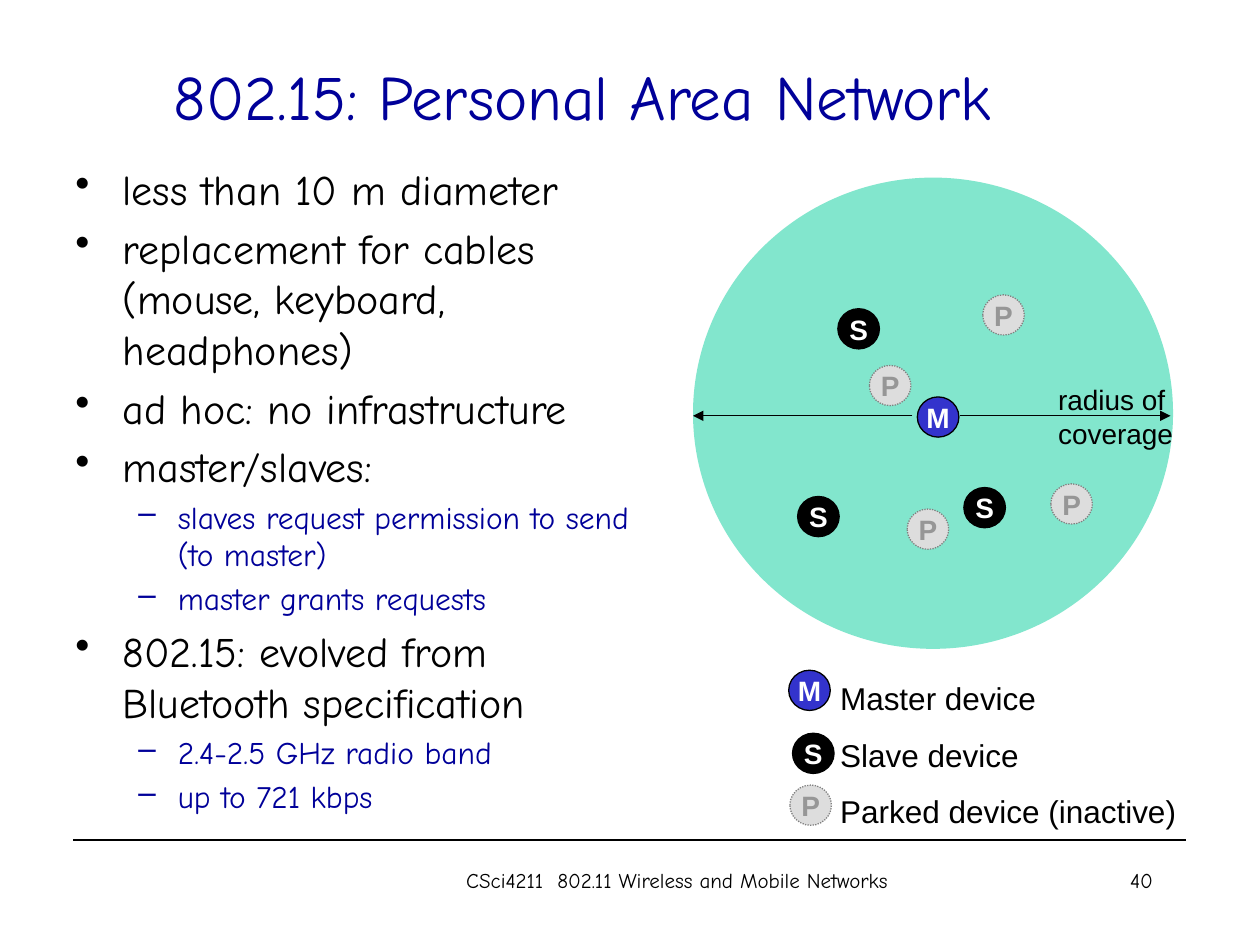
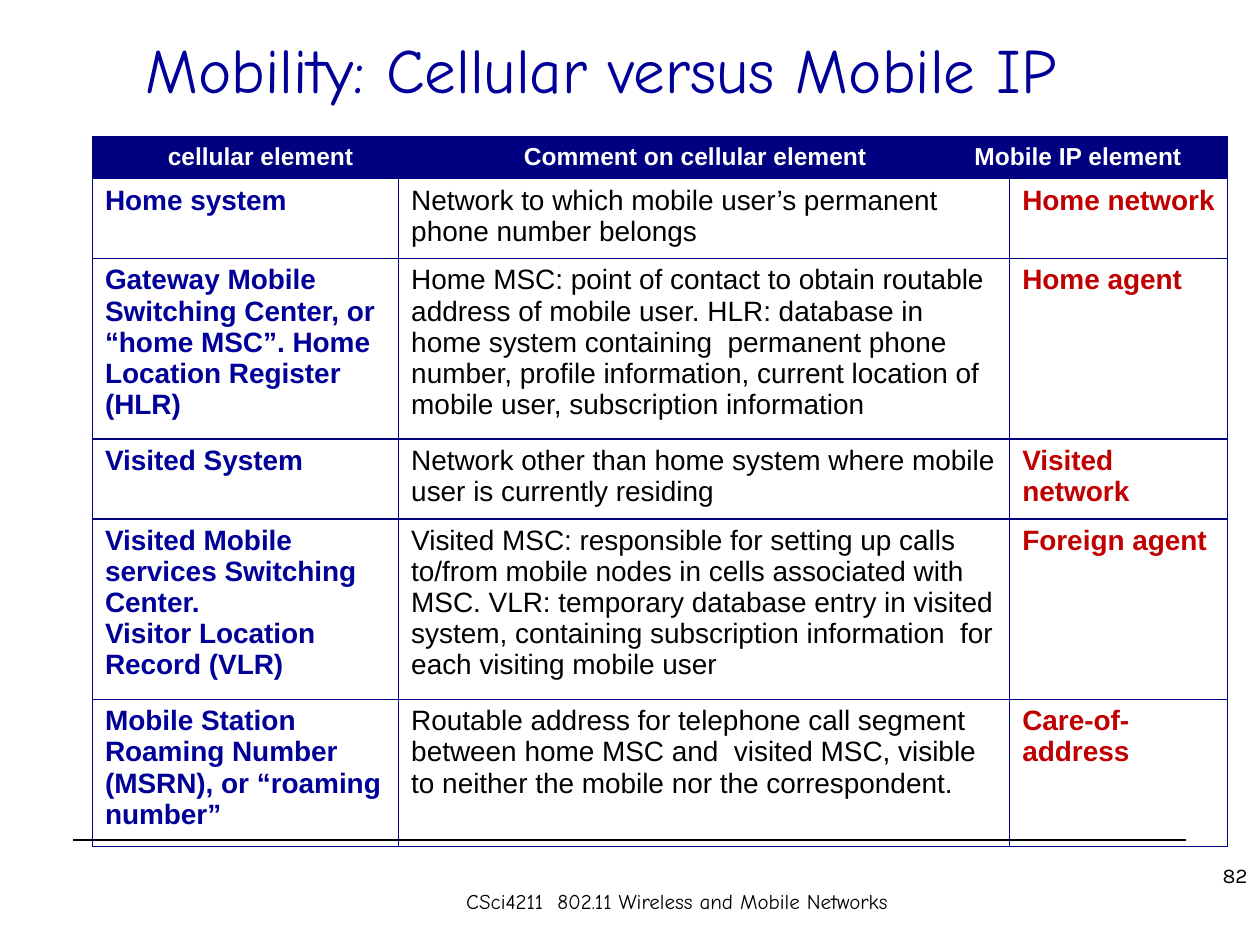
"""Build two network lecture slides: a personal area network diagram and a mobility table."""
from lxml import etree
from pptx import Presentation
from pptx import util as u
from pptx.dml import color
from pptx.enum import dml, shapes, text
from pptx.oxml import ns

Pt = u.Pt
CENTER, RIGHT = text.PP_ALIGN.CENTER, text.PP_ALIGN.RIGHT
COLORS = {
    "black": "000000", "white": "FFFFFF", "title": "000099", "navy": "000080",
    "red": "C00000", "coverage": "00CC99", "master": "3333CC",
    "parked": "DDDDDD", "parked line": "808080", "parked text": "969696",
}
FORMATS = {
    "title": {"name": "Comic Neue", "size": 36, "color": "title"},
    "bullet": {"name": "Comic Neue", "size": 24, "color": "black"},
    "dash": {"name": "Comic Neue", "size": 18, "color": "title"},
    "footer": {"name": "Comic Neue", "size": 12, "color": "black"},
    "plain number": {"name": "Karla", "size": 12, "color": "black"},
    "label": {"name": "Arial", "size": 16, "color": "black"},
    "legend": {"name": "Arial", "size": 18, "color": "black"},
    "device": {"name": "Arial", "size": 16, "color": "white", "bold": True},
    "parked": {"name": "Arial", "size": 16, "color": "parked text", "bold": True},
    "header": {"name": "Arial", "size": 14, "color": "white", "bold": True},
    "cellular": {"name": "Arial", "size": 16, "color": "title", "bold": True},
    "comment": {"name": "Arial", "size": 16, "color": "black", "bold": False},
    "mobile": {"name": "Arial", "size": 16, "color": "red", "bold": True},
}
BULLETS = {"bullet": ("•", 27, -27), "dash": ("–", 58.5, -22.5)}
DEVICES = {
    "M": ("master", "black", "device", None),
    "S": ("black", "black", "device", None),
    "P": ("parked", "parked line", "parked", dml.MSO_LINE.ROUND_DOT),
}
DEVICE_SIZE = (23.75, 23)
FOOTER = "CSci4211  802.11 Wireless and Mobile Networks"

GOALS = [
    ("bullet", "less than 10 m diameter"),
    ("bullet", "replacement for cables (mouse, keyboard, headphones)"),
    ("bullet", "ad hoc: no infrastructure"),
    ("bullet", "master/slaves:"),
    ("dash", "slaves request permission to send (to master)"),
    ("dash", "master grants requests"),
    ("bullet", "802.15: evolved from Bluetooth specification"),
    ("dash", "2.4-2.5 GHz radio band"),
    ("dash", "up to 721 kbps"),
]
DEVICE_PLACES = [
    ("M", 524.2, 226.8),
    ("S", 478.8, 176.4), ("S", 550.8, 278.6), ("S", 455.8, 283.7),
    ("P", 561.6, 168.5), ("P", 518.4, 290.9), ("P", 496.8, 208.8), ("P", 600.5, 276.5),
    ("M", 450.7, 383), ("S", 452.9, 419), ("P", 451.4, 448.6),
]
HEADERS = ["cellular element", "Comment on cellular element", "Mobile IP element"]
ROWS = [
    ("Home system",
     "Network to which mobile user’s permanent phone number belongs",
     "Home network"),
    ("Gateway Mobile Switching Center, or “home MSC”. Home Location Register (HLR)",
     "Home MSC: point of contact to obtain routable address of mobile user. HLR: database in "
     "home system containing  permanent phone number, profile information, current location of "
     "mobile user, subscription information",
     "Home agent"),
    ("Visited System",
     "Network other than home system where mobile user is currently residing",
     "Visited network"),
    ("Visited Mobile services Switching Center.\nVisitor Location Record (VLR)",
     "Visited MSC: responsible for setting up calls to/from mobile nodes in cells associated with "
     "MSC. VLR: temporary database entry in visited system, containing subscription information  "
     "for each visiting mobile user",
     "Foreign agent"),
    ("Mobile Station Roaming Number (MSRN), or “roaming number”",
     "Routable address for telephone call segment between home MSC and  visited MSC, visible to "
     "neither the mobile nor the correspondent.",
     "Care-of-address"),
]
COLUMN_WIDTHS = [175, 14.4, 304.6, 27.4, 124.5]
ROW_HEIGHTS = [24, 45.4, 103, 45.4, 103, 84.2]


def rgb(name):
    return color.RGBColor.from_string(COLORS[name])


def add_xml(parent, tag, **attributes):
    return etree.SubElement(parent, ns.qn(tag), **attributes)


class Deck:
    def __init__(self):
        self.presentation = Presentation()
        self.presentation.slide_width = Pt(720)
        self.presentation.slide_height = Pt(540)
        self.slide = None

    def start(self, title, title_box, number, number_box, number_format, footer_top):
        self.slide = self.presentation.slides.add_slide(self.presentation.slide_layouts[6])
        self.line(42, 480, 678, 480)
        self.text(title_box, title, "title", middle=True, alignment=CENTER)
        self.text(number_box, number, number_format, alignment=RIGHT)
        self.text((240, footer_top, 294, 36), FOOTER, "footer", alignment=CENTER)

    def style(self, paragraph, format_name, **paragraph_values):
        for key, value in paragraph_values.items():
            setattr(paragraph, key, value)
        for run in paragraph.runs:
            for key, value in FORMATS[format_name].items():
                if key == "color":
                    run.font.color.rgb = rgb(value)
                else:
                    setattr(run.font, key, Pt(value) if key == "size" else value)

    def set_text(self, frame, content, format_name, **paragraph_values):
        frame.text = content
        for paragraph in frame.paragraphs:
            self.style(paragraph, format_name, **paragraph_values)

    def text(self, box, content, format_name, wrap=True, middle=False, **paragraph_values):
        frame = self.slide.shapes.add_textbox(*map(Pt, box)).text_frame
        frame.word_wrap = wrap
        if middle:
            frame.vertical_anchor = text.MSO_ANCHOR.MIDDLE
        self.set_text(frame, content, format_name, **paragraph_values)
        return frame

    def bullets(self, box, items):
        frame = self.text(box, "\n".join(words for _, words in items), "bullet")
        for paragraph, (level, _) in zip(frame.paragraphs, items):
            self.style(paragraph, level, space_before=Pt(0.2 * FORMATS[level]["size"]))
            mark, margin, indent = BULLETS[level]
            properties = paragraph._p.get_or_add_pPr()
            properties.set("marL", str(Pt(margin)))
            properties.set("indent", str(Pt(indent)))
            add_xml(properties, "a:buChar", char=mark)

    def ellipse(self, box, fill, line=None, dash=None, opacity=None):
        shape = self.slide.shapes.add_shape(shapes.MSO_SHAPE.OVAL, *map(Pt, box))
        shape.shadow.inherit = False
        shape.fill.solid()
        shape.fill.fore_color.rgb = rgb(fill)
        if opacity:
            fill_color = shape._element.spPr.find(".//" + ns.qn("a:srgbClr"))
            add_xml(fill_color, "a:alpha", val=str(opacity * 1000))
        if line:
            shape.line.color.rgb = rgb(line)
            shape.line.width = Pt(0.75)
            shape.line.dash_style = dash
        else:
            shape.line.fill.background()
        return shape

    def device(self, letter, left, top):
        fill, line, format_name, dash = DEVICES[letter]
        frame = self.ellipse((left, top, *DEVICE_SIZE), fill, line, dash).text_frame
        for side in ("left", "top", "right", "bottom"):
            setattr(frame, f"margin_{side}", 0)
        frame.word_wrap = False
        frame.vertical_anchor = text.MSO_ANCHOR.MIDDLE
        self.set_text(frame, letter, format_name, alignment=CENTER)

    def line(self, x1, y1, x2, y2, arrow=False):
        connector = self.slide.shapes.add_connector(
            shapes.MSO_CONNECTOR.STRAIGHT, *map(Pt, (x1, y1, x2, y2)))
        connector.line.color.rgb = rgb("black")
        connector.line.width = Pt(0.75)
        if arrow:
            add_xml(connector.line._get_or_add_ln(), "a:tailEnd", type="triangle")
        add_xml(connector._element.spPr, "a:effectLst")

    def cell(self, cell, content, format_name, fill=None, **paragraph_values):
        self.set_text(cell.text_frame, content, format_name, **paragraph_values)
        properties = cell._tc.get_or_add_tcPr()
        for side in "LRTB":
            border = add_xml(properties, f"a:ln{side}", w=str(Pt(1)))
            add_xml(add_xml(border, "a:solidFill"), "a:srgbClr", val=COLORS["navy"])
        if fill:
            cell.fill.solid()
            cell.fill.fore_color.rgb = rgb(fill)
        else:
            cell.fill.background()

    def table(self, left, top):
        table = self.slide.shapes.add_table(
            len(ROW_HEIGHTS), len(COLUMN_WIDTHS), Pt(left), Pt(top),
            Pt(sum(COLUMN_WIDTHS)), Pt(sum(ROW_HEIGHTS))).table
        table.first_row = table.horz_banding = False
        for column, width in zip(table.columns, COLUMN_WIDTHS):
            column.width = Pt(width)
        for row, height in zip(table.rows, ROW_HEIGHTS):
            row.height = Pt(height)
        for first, last in ((0, 1), (3, 4)):
            table.cell(0, first).merge(table.cell(0, last))
        for column, words, alignment in zip((0, 2, 3), HEADERS, (CENTER, CENTER, None)):
            self.cell(table.cell(0, column), words, "header", "navy", alignment=alignment)
        for index, row in enumerate(ROWS, 1):
            table.cell(index, 1).merge(table.cell(index, 3))
            for column, words, name in zip((0, 1, 4), row, ("cellular", "comment", "mobile")):
                self.cell(table.cell(index, column), words, name)


def main():
    deck = Deck()

    deck.start("802.15: Personal Area Network", (27, 21.6, 612, 66),
               "40", (516, 492, 150, 36), "footer", 492)
    deck.ellipse((396, 101.5, 274.3, 269.3), "coverage", opacity=49)
    deck.line(548.6, 237.6, 668.9, 237.6, arrow=True)
    deck.line(521.3, 237.6, 396, 237.6, arrow=True)
    deck.text((597.6, 215.3, 80, 46), "radius of\ncoverage", "label", wrap=False)
    deck.text((473, 373.7, 206.6, 104.4),
              "Master device\nSlave device\nParked device (inactive)",
              "legend", wrap=False, line_spacing=1.5)
    for letter, left, top in DEVICE_PLACES:
        deck.device(letter, left, top)
    deck.bullets((36, 90, 351, 434), GOALS)

    deck.start("Mobility: Cellular versus Mobile IP", (37.4, -5.8, 612, 90),
               "82", (666, 489.6, 54, 21.6), "plain number", 504)
    deck.table(52.8, 78)

    deck.presentation.save("out.pptx")


if __name__ == "__main__":
    main()
